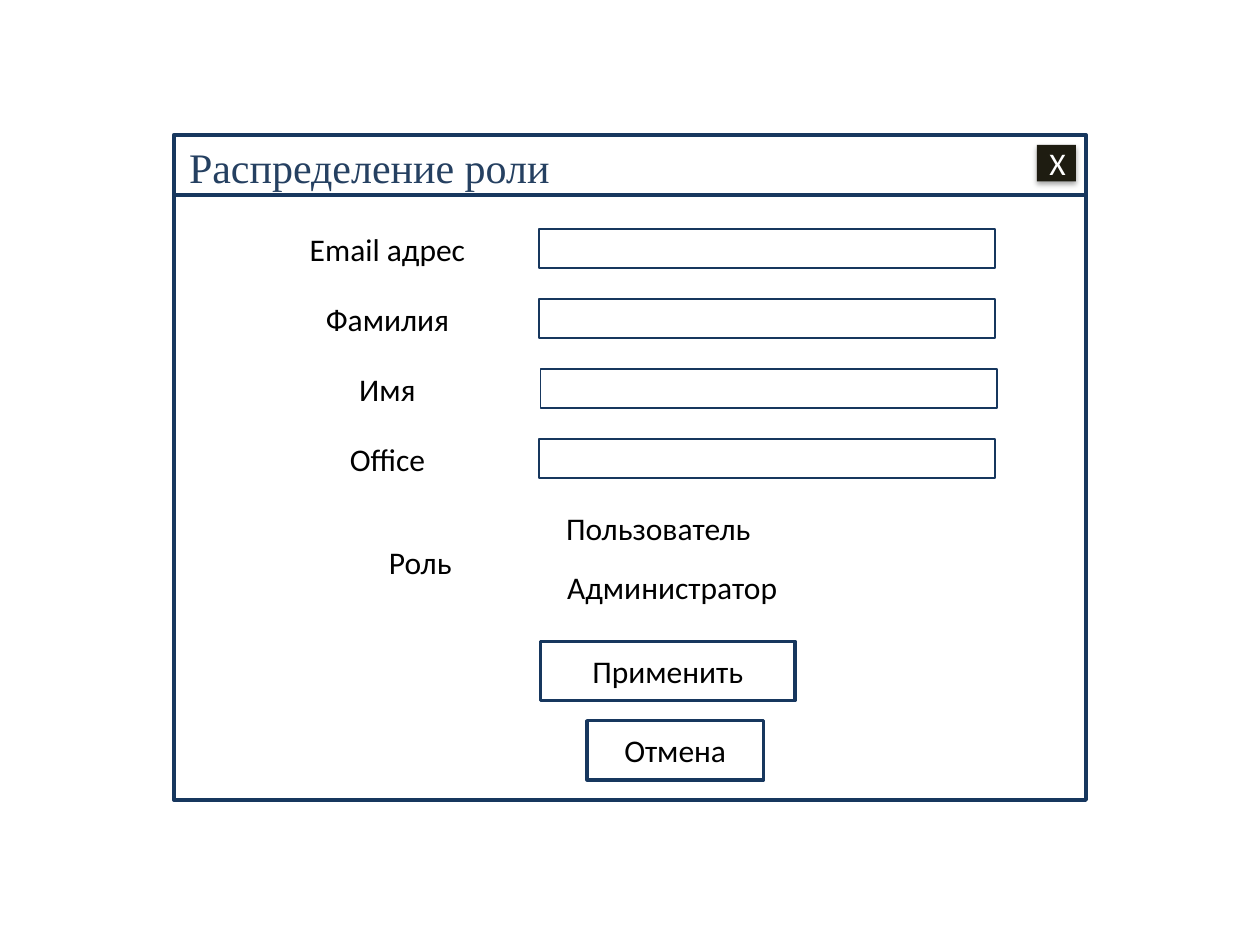
from lxml import etree
from pptx import Presentation
from pptx import util as u
from pptx.dml.color import RGBColor
from pptx.enum import shapes, text
from pptx.oxml.ns import qn

NAVY, WHITE, BLACK = "17375E", "FFFFFF", "000000"
RECT = shapes.MSO_SHAPE.RECTANGLE

# Content
TITLE = "Распределение роли"
WINDOW = (1.38, 1.07, 7.24, 5.28)
TITLE_BAR_BOTTOM = 1.55
FIELDS = [("Email адрес", 4.28), ("Фамилия", 4.28), ("Имя", 4.29), ("Office", 4.28)]
FIELD_TOP, FIELD_STEP = 1.82, 0.555
ROLE_LABELS = [("Роль", 2.39, 4.26), ("Пользователь", 4.28, 3.99),
               ("Администратор", 4.39, 4.46)]
BUTTONS = [
    ("Отмена", shapes.MSO_SHAPE.ACTION_BUTTON_CUSTOM, (4.66, 5.72, 1.4, 0.47)),
    ("Применить", RECT, (4.29, 5.09, 2.02, 0.47)),
]
CLOSE_BUTTON = ("Х", (8.23, 1.15, 0.31, 0.29))

presentation = Presentation()
presentation.slide_width, presentation.slide_height = u.Inches(10), u.Inches(7.5)
slide = presentation.slides.add_slide(presentation.slide_layouts[5])


def color(value):
    return RGBColor.from_string(value)


def inches(values):
    return [u.Inches(value) for value in values]


def write(shape, words, size=18, font="Calibri", ink=BLACK,
          align=text.PP_ALIGN.CENTER, anchor=text.MSO_ANCHOR.MIDDLE):
    frame = shape.text_frame
    frame.text = words
    frame_format = {"word_wrap": True, "auto_size": text.MSO_AUTO_SIZE.NONE,
                    "vertical_anchor": anchor}
    for name, value in frame_format.items():
        setattr(frame, name, value)
    paragraph = frame.paragraphs[0]
    paragraph.alignment = align
    run_font = paragraph.runs[0].font
    for name, value in {"size": u.Pt(size), "name": font}.items():
        setattr(run_font, name, value)
    run_font.color.rgb = color(ink)


def add_box(box, line_width, kind=RECT, fill=WHITE):
    shape = slide.shapes.add_shape(kind, *inches(box))
    shape.shadow.inherit = False
    shape.fill.solid()
    shape.fill.fore_color.rgb = color(fill)
    if line_width:
        shape.line.color.rgb = color(NAVY)
        shape.line.width = u.Pt(line_width)
    else:
        shape.line.fill.background()
    return shape


def add_label(words, left, top):
    label = slide.shapes.add_textbox(*inches((left, top, 1.89, 0.4)))
    write(label, words, anchor=text.MSO_ANCHOR.TOP)


# Window frame and title bar
add_box(WINDOW, 2)
left, right = WINDOW[0], WINDOW[0] + WINDOW[2]
divider = slide.shapes.add_connector(
    shapes.MSO_CONNECTOR.STRAIGHT,
    *inches((left, TITLE_BAR_BOTTOM, right, TITLE_BAR_BOTTOM)))
divider.line.color.rgb = color(NAVY)
divider.line.width = u.Pt(2.25)
etree.SubElement(divider.element.spPr, qn("a:effectLst"))

# Title, raised above the window frame
title = slide.shapes.title
for name, value in zip(("left", "top", "width", "height"), (1.4, 1.07, 3.46, 0.5)):
    setattr(title, name, u.Inches(value))
write(title, TITLE, 24, "Times New Roman", "254061",
      text.PP_ALIGN.LEFT, text.MSO_ANCHOR.TOP)
title.element.getparent().append(title.element)

# Buttons
for words, kind, box in BUTTONS:
    write(add_box(box, 2, kind), words)

# Input fields and their labels
for row, (words, field_left) in enumerate(FIELDS):
    top = FIELD_TOP + row * FIELD_STEP
    add_box((field_left, top, 3.62, 0.31), 1)
    add_label(words, 2.13, top - 0.04)

# Role choice
for words, label_left, top in ROLE_LABELS:
    add_label(words, label_left, top)

# Close button with a soft shadow
words, box = CLOSE_BUTTON
close_button = add_box(box, 0, fill="1E1C11")
write(close_button, words, ink=WHITE)
effects = close_button.element.spPr.find(qn("a:effectLst"))
shadow = etree.SubElement(effects, qn("a:outerShdw"), blurRad=str(u.Pt(3.1)),
                          dist=str(u.Pt(1.8)), dir="5400000", rotWithShape="0")
shade = etree.SubElement(shadow, qn("a:srgbClr"), val=BLACK)
etree.SubElement(shade, qn("a:alpha"), val="35000")

presentation.save("out.pptx")
